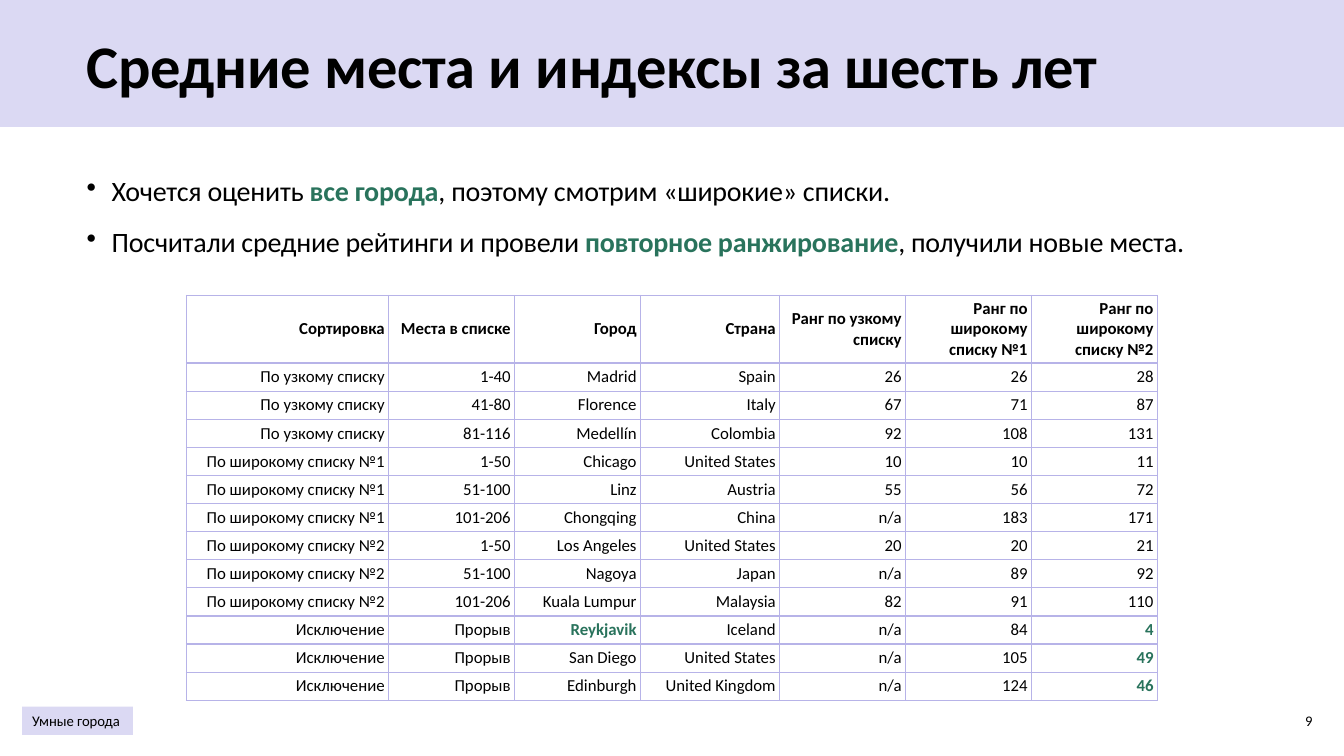
from lxml.etree import SubElement as Sub
from pptx import Presentation
from pptx.dml.color import RGBColor as Color
from pptx.enum.shapes import MSO_SHAPE as Shape
from pptx.enum.text import MSO_ANCHOR as Anchor, PP_ALIGN as Align
from pptx.oxml.ns import qn
from pptx.util import Emu, Inches, Pt

HEX = {"text": "000000", "accent": "29735C", "band": "DBD9F3", "grid": "B7B3E8"}
FONT = "Calibri"
WIDE, HIGH = Inches(13.333), Inches(7.5)

HEAD = ["Сортировка", "Места в списке", "Город", "Страна", "Ранг по узкому списку",
        "Ранг по широкому списку №1", "Ранг по широкому списку №2"]
GROUPS = {
    "По узкому списку": [
        ("1-40", "Madrid", "Spain", "26", "26", "28"),
        ("41-80", "Florence", "Italy", "67", "71", "87"),
        ("81-116", "Medellín", "Colombia", "92", "108", "131")],
    "По широкому списку №1": [
        ("1-50", "Chicago", "United States", "10", "10", "11"),
        ("51-100", "Linz", "Austria", "55", "56", "72"),
        ("101-206", "Chongqing", "China", "n/a", "183", "171")],
    "По широкому списку №2": [
        ("1-50", "Los Angeles", "United States", "20", "20", "21"),
        ("51-100", "Nagoya", "Japan", "n/a", "89", "92"),
        ("101-206", "Kuala Lumpur", "Malaysia", "82", "91", "110")],
    "Исключение": [
        ("Прорыв", "Reykjavik", "Iceland", "n/a", "84", "4"),
        ("Прорыв", "San Diego", "United States", "n/a", "105", "49"),
        ("Прорыв", "Edinburgh", "United Kingdom", "n/a", "124", "46")],
}
MARKED = {(10, 2), (10, 6), (11, 6), (12, 6)}  # row, column
COLS = [15.05, 9.37, 9.37, 10.35, 9.37, 9.37, 9.37]  # % of slide width
HEAD_ROW, ROW = 8.96, 3.72  # % of slide height

# Each bullet alternates plain and accented parts
BULLETS = [
    ("Хочется оценить ", "все города", ", поэтому смотрим «широкие» списки."),
    ("Посчитали средние рейтинги и провели ", "повторное ранжирование",
     ", получили новые места."),
]


def across(pct):
    return Emu(round(WIDE * pct / 100))


def down(pct):
    return Emu(round(HIGH * pct / 100))


def area(x, y, w, h):
    """Box in percent of the slide."""
    return across(x), down(y), across(w), down(h)


def style(font, size, tone="text", bold=False):
    font.name, font.size, font.bold = FONT, Pt(size), bold
    font.color.rgb = Color.from_string(HEX[tone])


def write(frame, text, size, tone="text", bold=False, align=Align.LEFT):
    frame.text = text
    frame.word_wrap = True
    frame.vertical_anchor = Anchor.MIDDLE
    para = frame.paragraphs[0]
    para.alignment = align
    style(para.font, size, tone, bold)
    return para


def tighten(para):
    for run in para.runs:
        run._r.get_or_add_rPr().set("spc", "-20")


def add_block(slide, box):
    block = slide.shapes.add_shape(Shape.RECTANGLE, *box)
    block.shadow.inherit = False
    block.fill.solid()
    block.fill.fore_color.rgb = Color.from_string(HEX["band"])
    block.line.fill.background()
    return block


def set_title(slide, text):
    title = slide.shapes.title
    title.left, title.top, title.width, title.height = area(5.7, 2.8, 86.85, 11.33)
    tighten(write(title.text_frame, text, 43.2, bold=True))


def add_bullets(slide, items, box):
    frame = slide.shapes.add_textbox(*box).text_frame
    frame.word_wrap = True
    for i, parts in enumerate(items):
        para = frame.add_paragraph() if i else frame.paragraphs[0]
        para.line_spacing, para.space_before = 1.1, Pt(10)
        style(para.font, 20)
        for j, part in enumerate(parts):
            run = para.add_run()
            run.text = part
            if j % 2:
                run.font.bold = True
                run.font.color.rgb = Color.from_string(HEX["accent"])
        tighten(para)
        # Bullet sign and hanging indent
        props = para._p.get_or_add_pPr()
        props.set("marL", str(Inches(0.25)))
        props.set("indent", str(-Inches(0.25)))
        sign = props.makeelement(qn("a:buChar"), {"char": "•"})
        props.insert_element_before(sign, "a:tabLst", "a:defRPr", "a:extLst")


def add_edges(cell):
    props = cell._tc.get_or_add_tcPr()
    for side in "LRTB":
        line = Sub(props, qn(f"a:ln{side}"), w=str(Pt(1)))
        Sub(Sub(line, qn("a:solidFill")), qn("a:srgbClr"), val=HEX["grid"])


def fill_cell(cell, text, tone, bold):
    cell.margin_left = cell.margin_right = Inches(0.04)
    cell.margin_top = cell.margin_bottom = Inches(0.03)
    cell.vertical_anchor = Anchor.MIDDLE
    add_edges(cell)
    cell.fill.background()
    para = cell.text_frame.paragraphs[0]
    para.text = text
    para.alignment = Align.RIGHT
    style(para.font, 12, tone, bold)


def add_ranks(slide, x, y):
    rows = [HEAD] + [(name, *row) for name, group in GROUPS.items() for row in group]
    tall = HEAD_ROW + ROW * (len(rows) - 1)
    box = area(x, y, sum(COLS), tall)
    table = slide.shapes.add_table(len(rows), len(COLS), *box).table
    table.first_row = table.horz_banding = False
    for col, wide in zip(table.columns, COLS):
        col.width = across(wide)
    for r, row in enumerate(rows):
        table.rows[r].height = down(ROW if r else HEAD_ROW)
        for c, text in enumerate(row):
            mark = (r, c) in MARKED
            fill_cell(table.cell(r, c), text, "accent" if mark else "text",
                      mark or r == 0)


def main():
    deck = Presentation()
    deck.slide_width, deck.slide_height = WIDE, HIGH
    slide = deck.slides.add_slide(deck.slide_layouts[5])

    # Header band, sent behind the title
    band = add_block(slide, area(0, 0, 100, 16.8))
    slide.shapes._spTree.insert(2, band._element)
    set_title(slide, "Средние места и индексы за шесть лет")

    # Body
    add_bullets(slide, BULLETS, area(5.7, 21.87, 87.53, 12.8))
    add_ranks(slide, 13.88, 39.07)

    # Footer
    tag = add_block(slide, area(1.65, 93.47, 8.25, 3.73))
    tag.text_frame.margin_right = Inches(0.05)
    write(tag.text_frame, "Умные города", 10.5)
    page = slide.shapes.add_textbox(*area(93.22, 92.67, 5.18, 5.33))
    write(page.text_frame, "9", 10.5, align=Align.RIGHT)

    deck.save("out.pptx")


if __name__ == "__main__":
    main()
